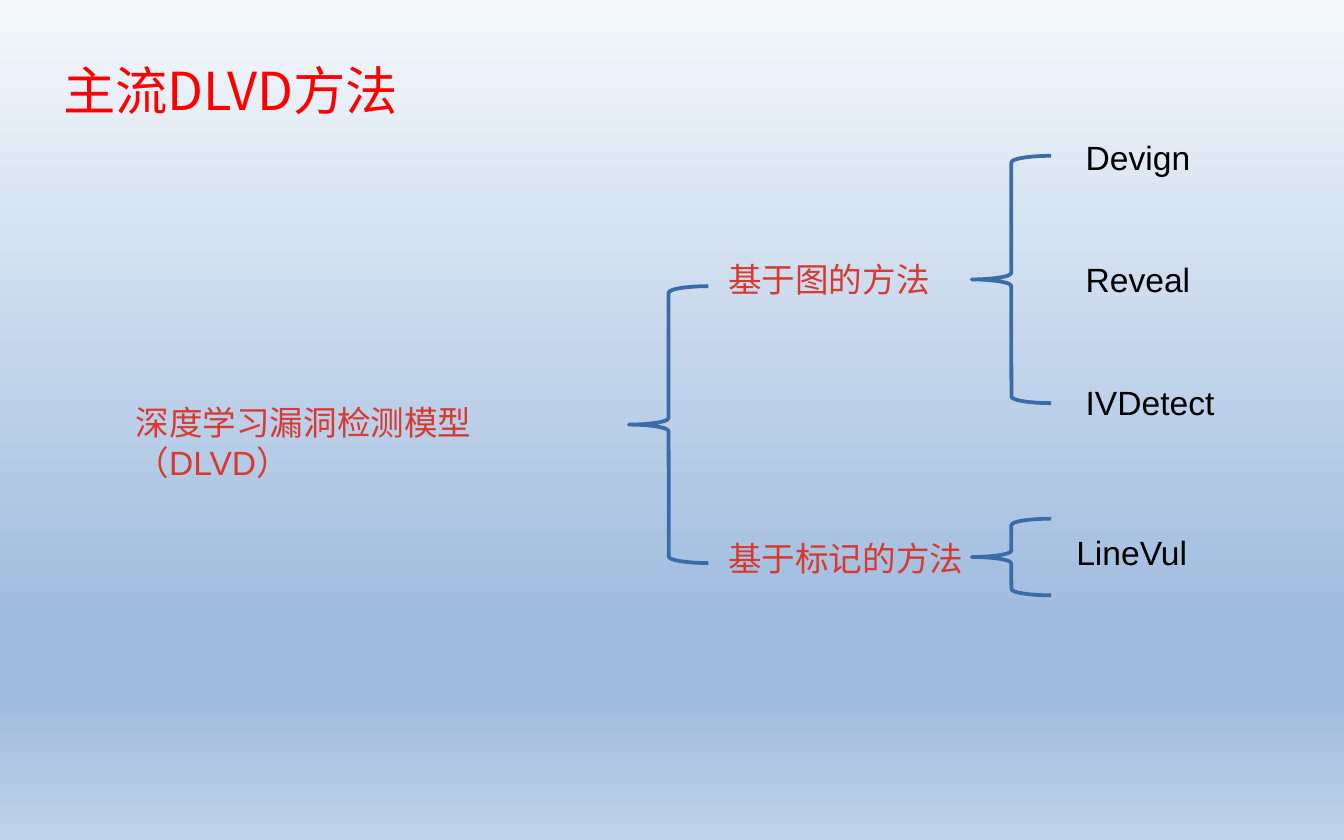
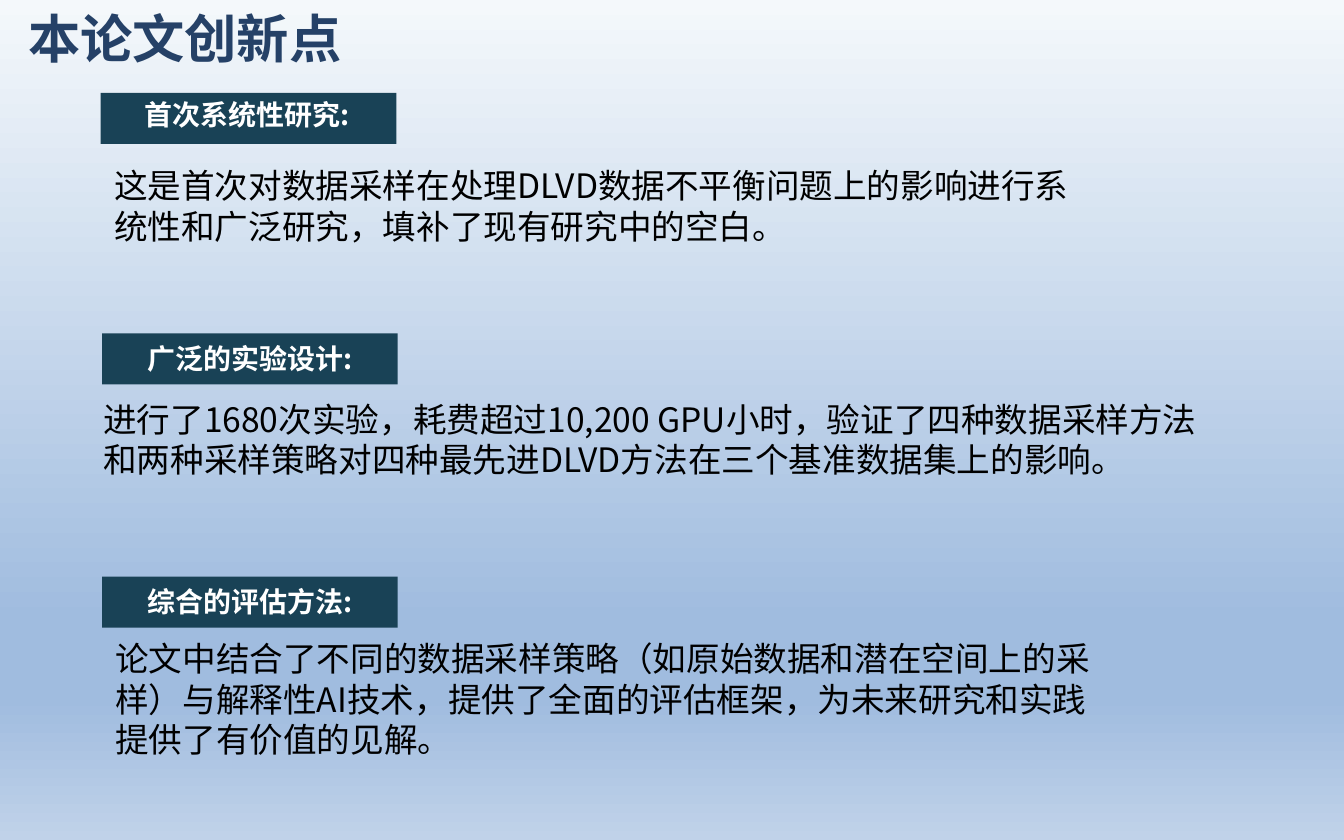
from lxml.etree import SubElement
from pptx import Presentation
from pptx.dml.color import RGBColor
from pptx.enum.shapes import MSO_SHAPE
from pptx.enum.text import MSO_ANCHOR, MSO_AUTO_SIZE, PP_ALIGN
from pptx.oxml.ns import qn
from pptx.util import Inches, Pt

SANS = "Noto Sans CJK SC"
ARIAL = "Arial"
RED, TOPIC_RED, BLACK, WHITE = "FF0000", "D83931", "000000", "FFFFFF"
BRACE_BLUE, LABEL_TEAL = "3A6CAA", "194256"
BACKGROUND = [(0, "F4F8FB"), (74, "A0BCDF"), (83, "A0BCDF"), (100, "C0D2E9")]
TITLE_BLUE = [(0, "132034"), (50, "254167"), (100, "5C88C4")]
LINE_HEIGHT = 1.2


def color(value):
    return RGBColor.from_string(value)


def set_gradient(fill, owner, stops):
    """Give a fill inside the owner element a top-down gradient."""
    fill.gradient()
    fill.gradient_angle = 270
    stop_list = owner.find(".//" + qn("a:gsLst"))
    for stop in list(stop_list):
        stop_list.remove(stop)
    for percent, value in stops:
        stop = SubElement(stop_list, qn("a:gs"), pos=str(percent * 1000))
        SubElement(stop, qn("a:srgbClr"), val=value)


def add_run(p, text, size, font, fill, bold=False):
    r = p.add_run()
    r.text = text
    r.font.size = Pt(size)
    r.font.bold = bold
    r.font.name = font
    SubElement(r.font._element, qn("a:ea"), typeface=SANS)
    if isinstance(fill, list):
        set_gradient(r.font.fill, r.font._element, fill)
    else:
        r.font.color.rgb = color(fill)
    # Chinese lines keep an even height whatever font is substituted
    if not text.isascii():
        p.line_spacing = Pt(round(size * LINE_HEIGHT, 1))


def place(sp, left, top, width, height):
    sp.left, sp.top = Inches(left), Inches(top)
    sp.width, sp.height = Inches(width), Inches(height)


def add_title(s, text, box, fill, bold=False, align=PP_ALIGN.LEFT, wrap=True):
    sp = s.shapes.title
    place(sp, *box)
    tf = sp.text_frame
    tf.auto_size = MSO_AUTO_SIZE.NONE
    tf.vertical_anchor = MSO_ANCHOR.TOP
    tf.word_wrap = wrap
    p = tf.paragraphs[0]
    p.alignment = align
    add_run(p, text, 28, SANS, fill, bold)


def add_text(s, lines, box, fill=BLACK, font=ARIAL, size=18, bold=False, gap=0):
    sp = s.shapes.add_textbox(*[Inches(v) for v in box])
    tf = sp.text_frame
    tf.word_wrap = True
    for i, line in enumerate(lines):
        p = tf.add_paragraph() if i else tf.paragraphs[0]
        if i and gap:
            p.space_before = Pt(gap)
        add_run(p, line, size, font, fill, bold)


def add_brace(s, left, top, height):
    sp = s.shapes.add_shape(MSO_SHAPE.LEFT_BRACE, Inches(left), Inches(top),
                            Inches(0.59), Inches(height))
    sp.shadow.inherit = False
    sp.fill.background()
    sp.line.color.rgb = color(BRACE_BLUE)
    sp.line.width = Pt(2)


def add_label(s, text, bar_at, text_at):
    sp = s.shapes.add_shape(MSO_SHAPE.RECTANGLE, *[Inches(v) for v in bar_at],
                            Inches(2.2), Inches(0.38))
    sp.shadow.inherit = False
    sp.fill.solid()
    sp.fill.fore_color.rgb = color(LABEL_TEAL)
    sp.line.fill.background()
    add_text(s, [text], (*text_at, 3.59, 0.35), WHITE, SANS, 15, True)


def new_slide(prs):
    s = prs.slides.add_slide(prs.slide_layouts[5])
    for sp in list(s.placeholders):
        if sp.placeholder_format.idx != 0:
            sp.element.getparent().remove(sp.element)
    return s


def build_methods(prs):
    s = new_slide(prs)
    add_title(s, "主流DLVD方法", (0.37, 0.38, 3.04, 0.57), RED)

    # Root and its two families
    add_text(s, ["深度学习漏洞检测模型（DLVD）"], (0.91, 2.94, 3.62, 0.4), TOPIC_RED)
    add_brace(s, 4.68, 2.13, 2.06)
    for family, top in (("基于图的方法", 1.88), ("基于标记的方法", 3.95)):
        add_text(s, [family], (5.32, top, 1.96, 0.4), TOPIC_RED)

    # Methods of each family
    add_brace(s, 7.23, 1.16, 1.84)
    add_text(s, ["Devign", "Reveal", "IVDetect"], (7.98, 0.97, 1.33, 2.22), gap=44)
    add_brace(s, 7.23, 3.86, 0.57)
    add_text(s, ["LineVul"], (7.91, 3.91, 1.1, 0.4))


def build_innovations(prs):
    s = new_slide(prs)
    add_title(s, "本论文创新点", (-0.33, 0, 3.41, 0.55), TITLE_BLUE, True,
              PP_ALIGN.CENTER, False)

    # Label, bar position, label text position, explanation, explanation box
    points = [
        ("首次系统性研究:", (0.75, 0.69), (0.98, 0.68),
         "这是首次对数据采样在处理DLVD数据不平衡问题上的影响进行系统性和广泛研究，"
         "填补了现有研究中的空白。", (0.75, 1.18, 7.48, 0.71)),
        ("广泛的实验设计:", (0.76, 2.48), (1, 2.49),
         "进行了1680次实验，耗费超过10,200 GPU小时，验证了四种数据采样方法和两种采样策略"
         "对四种最先进DLVD方法在三个基准数据集上的影响。", (0.67, 2.92, 8.43, 0.71)),
        ("综合的评估方法:", (0.76, 4.29), (1, 4.3),
         "论文中结合了不同的数据采样策略（如原始数据和潜在空间上的采样）与解释性AI技术，"
         "提供了全面的评估框架，为未来研究和实践提供了有价值的见解。",
         (0.76, 4.7, 7.55, 1.01)),
    ]
    for label, bar_at, text_at, explanation, box in points:
        add_label(s, label, bar_at, text_at)
        add_text(s, [explanation], box, font=SANS)


def main():
    prs = Presentation()
    prs.slide_width, prs.slide_height = Inches(10), Inches(6.25)
    master = prs.slide_master
    set_gradient(master.background.fill, master.element, BACKGROUND)
    build_methods(prs)
    build_innovations(prs)
    prs.save("out.pptx")


if __name__ == "__main__":
    main()
